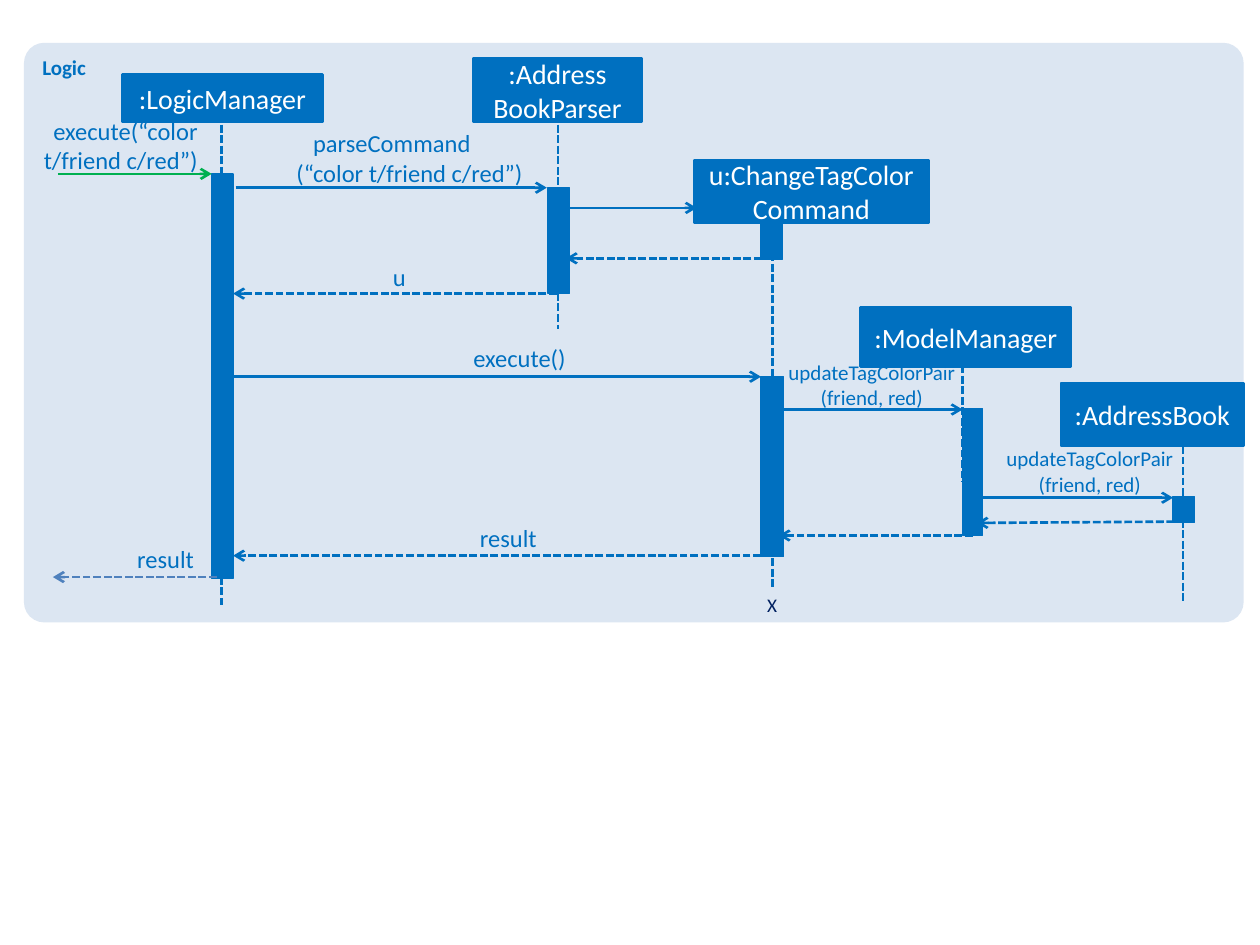
from dataclasses import dataclass
from typing import Optional

import pptx
import pptx.dml.color
import pptx.enum.dml
import pptx.enum.shapes
import pptx.enum.text
import pptx.oxml.ns
import pptx.util
from lxml import etree

RGBColor = pptx.dml.color.RGBColor
Align = pptx.enum.text.PP_ALIGN
Anchor = pptx.enum.text.MSO_ANCHOR
Preset = pptx.enum.shapes.MSO_SHAPE

BLUE = RGBColor(0x00, 0x70, 0xC0)
STEEL = RGBColor(0x4F, 0x81, 0xBD)
GREEN = RGBColor(0x00, 0xB0, 0x50)
NAVY = RGBColor(0x00, 0x20, 0x60)
PALE = RGBColor(0xDC, 0xE6, 0xF2)
WHITE = RGBColor(0xFF, 0xFF, 0xFF)

EMU_PER_PX = 9144  # 100 px to the inch


@dataclass(frozen=True)
class Box:
    left: int
    top: int
    width: int
    height: int

    def emu(self) -> list[int]:
        return [px(v) for v in (self.left, self.top, self.width, self.height)]


@dataclass(frozen=True)
class Paragraph:
    text: str
    align: Optional[Align] = Align.CENTER


@dataclass(frozen=True)
class Participant:
    box: Box
    paragraphs: tuple[Paragraph, ...]


@dataclass(frozen=True)
class Lifeline:
    x: int
    top: int
    bottom: int


@dataclass(frozen=True)
class Message:
    start: int
    end: int
    y: int
    is_return: bool = False
    color: RGBColor = BLUE
    rise: int = 0


@dataclass(frozen=True)
class Label:
    box: Box
    paragraphs: tuple[Paragraph, ...]
    size: int = 14


UPDATE_CALL = (Paragraph("updateTagColorPair"), Paragraph("(friend, red)"))
RESULT = (Paragraph("result", Align.RIGHT),)

FRAME = Box(19, 34, 968, 460)
DESTROYED = Box(599, 466, 28, 29)

PARTICIPANTS = (
    Participant(Box(97, 59, 159, 38), (Paragraph(":LogicManager"),)),
    Participant(Box(376, 46, 133, 51), (Paragraph(":Address"), Paragraph("BookParser"))),
    Participant(Box(551, 127, 186, 50), (Paragraph("u:ChangeTagColor\nCommand"),)),
    Participant(Box(683, 244, 167, 47), (Paragraph(":ModelManager"),)),
    Participant(Box(842, 304, 145, 50), (Paragraph(":AddressBook"),)),
)

LIFELINES = (
    Lifeline(176, 99, 480),
    Lifeline(443, 99, 261),
    Lifeline(613, 176, 466),
    Lifeline(764, 290, 382),
    Lifeline(939, 354, 479),
)

ACTIVATIONS = (
    Box(168, 138, 17, 321),
    Box(435, 149, 17, 84),
    Box(604, 176, 17, 30),
    Box(604, 299, 18, 143),
    Box(764, 324, 16, 101),
    Box(931, 394, 17, 21),
)

MESSAGES = (
    Message(46, 168, 138, color=GREEN),
    Message(187, 434, 149),
    Message(452, 553, 165),
    Message(613, 449, 205, is_return=True),
    Message(442, 185, 233, is_return=True),
    Message(185, 604, 299),
    Message(622, 764, 325),
    Message(777, 931, 395),
    Message(932, 775, 414, is_return=True, rise=-1),
    Message(772, 618, 425, is_return=True),
    Message(604, 185, 441, is_return=True),
    Message(172, 42, 458, is_return=True, color=STEEL),
)

LABELS = (
    Label(Box(1, 92, 156, 47), (Paragraph("execute(“color t/friend c/red”)", Align.RIGHT),)),
    Label(
        Box(207, 102, 208, 47),
        (Paragraph("parseCommand"), Paragraph("(“color t/friend c/red”)", Align.RIGHT)),
    ),
    Label(Box(298, 208, 24, 24), (Paragraph("u", Align.RIGHT),)),
    Label(Box(355, 272, 94, 24), (Paragraph("execute()", Align.RIGHT),)),
    Label(Box(358, 415, 68, 24), RESULT),
    Label(Box(71, 432, 83, 24), RESULT),
    Label(Box(617, 285, 150, 40), UPDATE_CALL, 12),
    Label(Box(790, 354, 150, 40), UPDATE_CALL, 12),
)


def px(value: int) -> int:
    return pptx.util.Emu(value * EMU_PER_PX)


def write(frame, paragraphs, size: int, color: RGBColor, bold: bool = False) -> None:
    """Fill a text frame; a newline inside a paragraph becomes a line break."""
    for index, content in enumerate(paragraphs):
        paragraph = frame.add_paragraph() if index else frame.paragraphs[0]
        paragraph.alignment = content.align
        for part, words in enumerate(content.text.split("\n")):
            if part:
                paragraph.add_line_break()
            run = paragraph.add_run()
            run.text = words
            run.font.name = "Calibri"
            run.font.size = pptx.util.Pt(size)
            run.font.bold = bold
            run.font.color.rgb = color


def add_block(slide, box: Box, fill: RGBColor, line_width: float, preset=Preset.RECTANGLE):
    block = slide.shapes.add_shape(preset, *box.emu())
    block.shadow.inherit = False
    block.fill.solid()
    block.fill.fore_color.rgb = fill
    if line_width:
        block.line.color.rgb = fill
        block.line.width = pptx.util.Pt(line_width)
    else:
        block.line.fill.background()
    return block


def add_line(slide, x1: int, y1: int, x2: int, y2: int, color: RGBColor, dashed: bool):
    connector = slide.shapes.add_connector(
        pptx.enum.shapes.MSO_CONNECTOR.STRAIGHT, px(x1), px(y1), px(x2), px(y2)
    )
    connector.line.color.rgb = color
    connector.line.width = pptx.util.Pt(1.5)
    if dashed:
        connector.line.dash_style = pptx.enum.dml.MSO_LINE.SQUARE_DOT
    etree.SubElement(connector._element.spPr, pptx.oxml.ns.qn("a:effectLst"))
    return connector


def add_message(slide, message: Message) -> None:
    arrow = add_line(
        slide, message.start, message.y, message.end, message.y - message.rise,
        message.color, message.is_return,
    )
    outline = arrow.line._get_or_add_ln()
    etree.SubElement(outline, pptx.oxml.ns.qn("a:tailEnd"), type="arrow")


def add_label(slide, label: Label) -> None:
    frame = slide.shapes.add_textbox(*label.box.emu()).text_frame
    frame.word_wrap = True
    frame.auto_size = pptx.enum.text.MSO_AUTO_SIZE.SHAPE_TO_FIT_TEXT
    frame.margin_left = frame.margin_right = frame.margin_top = frame.margin_bottom = 0
    write(frame, label.paragraphs, label.size, BLUE)


def main() -> None:
    deck = pptx.Presentation()
    deck.slide_width, deck.slide_height = px(1000), px(750)
    slide = deck.slides.add_slide(deck.slide_layouts[6])

    logic = add_block(slide, FRAME, PALE, 0, Preset.ROUNDED_RECTANGLE)
    logic.adjustments[0] = 0.035
    logic.text_frame.vertical_anchor = Anchor.TOP
    write(logic.text_frame, [Paragraph("Logic", Align.LEFT)], 12, BLUE, bold=True)

    for lifeline in LIFELINES:
        add_line(slide, lifeline.x, lifeline.top, lifeline.x, lifeline.bottom, BLUE, True)
    for activation in ACTIVATIONS:
        add_block(slide, activation, BLUE, 0.75)
    for message in MESSAGES:
        add_message(slide, message)
    for participant in PARTICIPANTS:
        block = add_block(slide, participant.box, BLUE, 1.5)
        block.text_frame.vertical_anchor = Anchor.MIDDLE
        write(block.text_frame, participant.paragraphs, 16, WHITE)
    for label in LABELS:
        add_label(slide, label)

    destroyed = slide.shapes.add_textbox(*DESTROYED.emu()).text_frame
    destroyed.word_wrap = False
    write(destroyed, [Paragraph("X", Align.LEFT)], 11, NAVY)

    deck.save("out.pptx")


if __name__ == "__main__":
    main()
